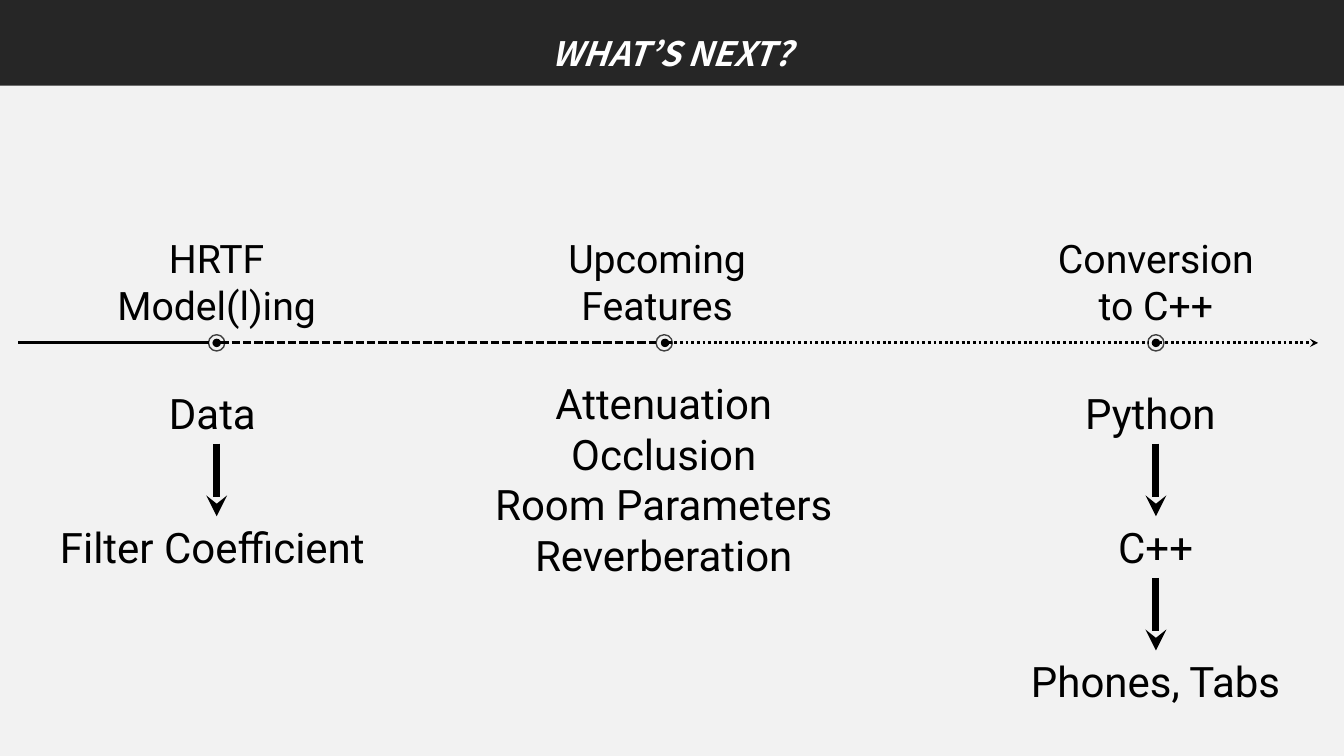
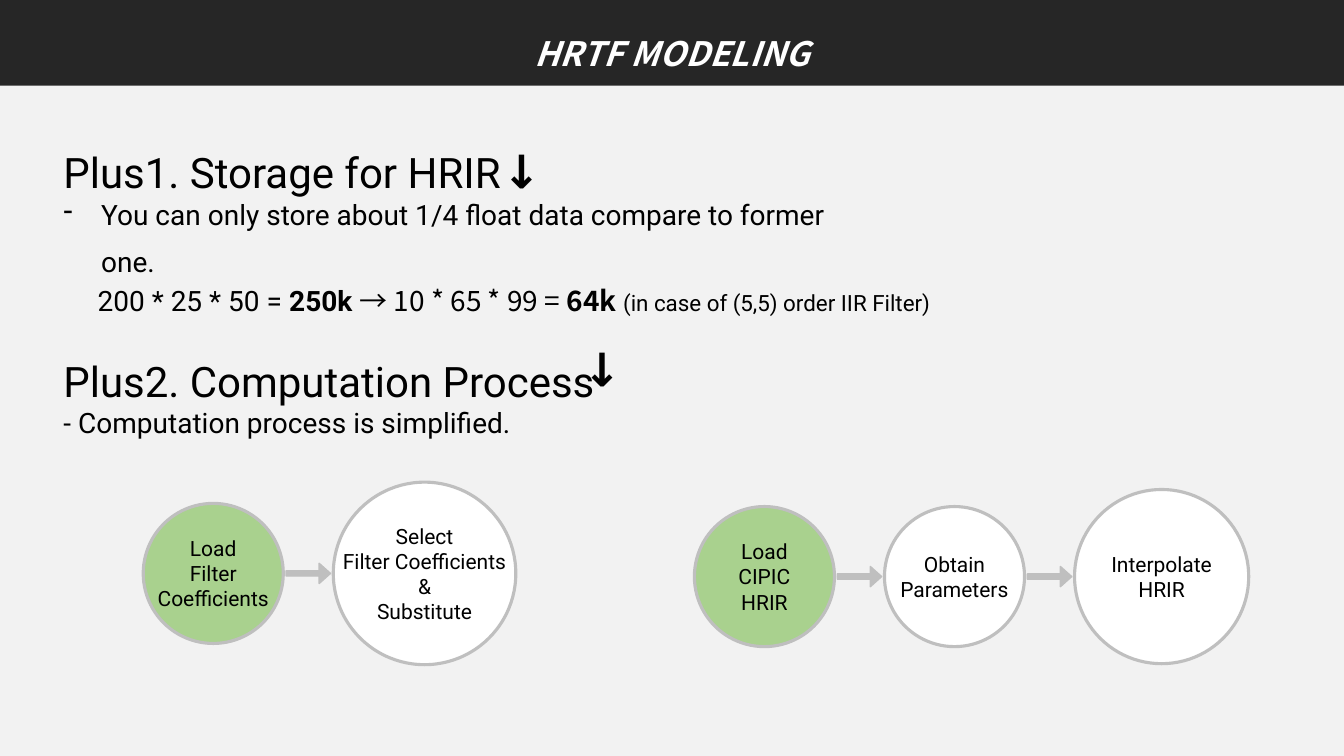
from dataclasses import dataclass
from typing import Optional, Sequence

from lxml.etree import SubElement
from pptx import Presentation
from pptx.dml.color import RGBColor
from pptx.enum.dml import MSO_LINE
from pptx.enum.shapes import MSO_CONNECTOR, MSO_SHAPE
from pptx.enum.text import MSO_ANCHOR, MSO_AUTO_SIZE, PP_ALIGN
from pptx.oxml.ns import qn
from pptx.util import Cm, Pt

BLACK, WHITE, PAPER, BAND = "000000", "FFFFFF", "F2F2F2", "262626"
RING, GREY, GREEN = "404040", "BFBFBF", "A9D18E"
BODY_FONT, TITLE_FONT = "Roboto", "Noto Sans CJK KR"
SLIDE_W, SLIDE_H, BAND_H = 33.87, 19.05, 2.16

AXIS_Y, DOT = 8.64, 0.41
LABEL_W, LABEL_H, LABEL_Y = 5.99, 2.64, 5.78
STEP_Y, STEP_H, STEP_GAP = 9.63, 1.55, 1.83
CHAIN_GAP, ARROW_W, ARROW_H = 1.26, 1.12, 0.51


@dataclass(frozen=True)
class Run:
    text: str
    size: float
    font: str = BODY_FONT
    bold: bool = False


@dataclass(frozen=True)
class Para:
    runs: Sequence[Run]
    spacing: Optional[float] = None
    bullet: str = ""


@dataclass(frozen=True)
class Box:
    x: float
    y: float
    w: float
    h: float

    def lengths(self) -> tuple:
        return Cm(self.x), Cm(self.y), Cm(self.w), Cm(self.h)


@dataclass(frozen=True)
class Milestone:
    label: str
    x: float
    label_x: float


@dataclass(frozen=True)
class Segment:
    start: float
    end: float
    dash: Optional[MSO_LINE] = None
    head: str = ""
    tail: str = ""


@dataclass(frozen=True)
class Flow:
    x: float
    box_x: float
    box_w: float
    steps: Sequence[str]


@dataclass(frozen=True)
class Circle:
    text: str
    size: float
    fill: str = WHITE


@dataclass(frozen=True)
class Chain:
    x: float
    axis_y: float
    circles: Sequence[Circle]


MILESTONES = (
    Milestone("HRTF Model(l)ing", 5.46, 5.46),
    Milestone("Upcoming Features", 16.74, 16.56),
    Milestone("Conversion to C++", 29.13, 29.13),
)
SEGMENTS = (
    Segment(0.46, 5.26),
    Segment(5.46, 16.54, MSO_LINE.SQUARE_DOT, "oval"),
    Segment(16.76, 28.93, MSO_LINE.ROUND_DOT, "oval"),
    Segment(29.13, 33.22, MSO_LINE.ROUND_DOT, "oval", "stealth"),
)
FLOWS = (
    Flow(5.46, 0.66, 9.65, ("Data ", "Filter Coefficient ")),
    Flow(29.13, 25.58, 7.09, ("Python ", "C++", "Phones, Tabs")),
)
FEATURES = ("Attenuation", "Occlusion", "Room Parameters", "Reverberation")
CHAINS = (
    Chain(3.61, 14.45, (
        Circle("Load\nFilter\nCoefficients", 3.53, GREEN),
        Circle("Select\nFilter Coefficients\n&\nSubstitute", 4.6),
    )),
    Chain(17.5, 14.53, (
        Circle("Load\nCIPIC\nHRIR", 3.53, GREEN),
        Circle("Obtain\nParameters", 3.53),
        Circle("Interpolate\nHRIR", 4.39),
    )),
)


def rgb(color: str) -> RGBColor:
    return RGBColor.from_string(color)


def plain(lines: Sequence[str], size: float) -> list[Para]:
    return [Para([Run(line, size)]) for line in lines]


def write(tf, paras: Sequence[Para], align=PP_ALIGN.LEFT) -> None:
    for i, para in enumerate(paras):
        p = tf.paragraphs[0] if i == 0 else tf.add_paragraph()
        p.alignment = align
        if para.spacing:
            p.line_spacing = para.spacing
        if para.bullet:
            pPr = p._p.get_or_add_pPr()
            pPr.set("marL", str(Cm(0.95)))
            pPr.set("indent", str(-Cm(0.95)))
            SubElement(pPr, qn("a:buChar")).set("char", para.bullet)
        for run in para.runs:
            r = p.add_run()
            r.text = run.text
            r.font.name = run.font
            r.font.size = Pt(run.size)
            r.font.bold = run.bold
            r.font.color.rgb = rgb(BLACK)


def add_text(s, box: Box, paras: Sequence[Para], align=PP_ALIGN.LEFT):
    sp = s.shapes.add_textbox(*box.lengths())
    tf = sp.text_frame
    tf.word_wrap = True
    tf.auto_size = MSO_AUTO_SIZE.SHAPE_TO_FIT_TEXT
    write(tf, paras, align)
    return sp


def add_shape(s, kind, box: Box, fill: str, line: str, width: float):
    sp = s.shapes.add_shape(kind, *box.lengths())
    sp.shadow.inherit = False
    sp.fill.solid()
    sp.fill.fore_color.rgb = rgb(fill)
    sp.line.color.rgb = rgb(line)
    sp.line.width = Pt(width)
    return sp


def add_line(s, x1: float, y1: float, x2: float, y2: float, width: float,
             dash: Optional[MSO_LINE] = None, head: str = "", tail: str = "") -> None:
    c = s.shapes.add_connector(MSO_CONNECTOR.STRAIGHT, Cm(x1), Cm(y1), Cm(x2), Cm(y2))
    c.line.color.rgb = rgb(BLACK)
    c.line.width = Pt(width)
    if dash is not None:
        c.line.dash_style = dash
    spPr = c.element.spPr
    ln = spPr.find(qn("a:ln"))
    for tag, end in (("a:headEnd", head), ("a:tailEnd", tail)):
        if end:
            SubElement(ln, qn(tag)).set("type", end)
    SubElement(spPr, qn("a:effectLst"))


def add_slide(prs, title: str):
    s = prs.slides.add_slide(prs.slide_layouts[5])
    sp = s.shapes.title
    sp.left, sp.top, sp.width, sp.height = Box(0, 0, SLIDE_W, BAND_H).lengths()
    sp.fill.solid()
    sp.fill.fore_color.rgb = rgb(BAND)
    tf = sp.text_frame
    tf.text = title
    tf.auto_size = MSO_AUTO_SIZE.NONE
    tf.vertical_anchor = MSO_ANCHOR.MIDDLE
    p = tf.paragraphs[0]
    p.alignment = PP_ALIGN.CENTER
    p.line_spacing = 1.5
    font = p.runs[0].font
    font.name, font.size = TITLE_FONT, Pt(24)
    font.bold = font.italic = True
    font.color.rgb = rgb(WHITE)
    return s


def add_flow(s, flow: Flow) -> None:
    for i, step in enumerate(flow.steps):
        y = STEP_Y + i * (STEP_H + STEP_GAP)
        add_text(s, Box(flow.box_x, y, flow.box_w, STEP_H), plain([step], 30), PP_ALIGN.CENTER)
        if i:
            add_line(s, flow.x, y - STEP_GAP, flow.x, y, 5, tail="stealth")


def add_chain(s, chain: Chain) -> None:
    x = chain.x
    for i, circle in enumerate(chain.circles):
        if i:
            arrow = Box(x - (CHAIN_GAP + ARROW_W) / 2, chain.axis_y - ARROW_H / 2, ARROW_W, ARROW_H)
            sp = add_shape(s, MSO_SHAPE.RIGHT_ARROW, arrow, GREY, GREY, 1)
            sp.adjustments[0], sp.adjustments[1] = 0.26, 0.56
        box = Box(x, chain.axis_y - circle.size / 2, circle.size, circle.size)
        sp = add_shape(s, MSO_SHAPE.OVAL, box, circle.fill, GREY, 2.25)
        tf = sp.text_frame
        tf.word_wrap = False
        tf.vertical_anchor = MSO_ANCHOR.MIDDLE
        tf.margin_left = tf.margin_right = tf.margin_top = tf.margin_bottom = 0
        write(tf, plain(circle.text.split("\n"), 15), PP_ALIGN.CENTER)
        x += circle.size + CHAIN_GAP


def add_down_arrow(s, x: float, y: float) -> None:
    sp = add_text(s, Box(x, y, 1.45, 1.68), [Para([Run("→", 33, bold=True)])])
    sp.rotation = 90


def build_next(prs) -> None:
    s = add_slide(prs, "WHAT’S NEXT?")
    for m in MILESTONES:
        dot = Box(m.x - DOT / 2, AXIS_Y - DOT / 2, DOT, DOT)
        add_shape(s, MSO_SHAPE.OVAL, dot, PAPER, RING, 1)
        label = Box(m.label_x - LABEL_W / 2, LABEL_Y, LABEL_W, LABEL_H)
        add_text(s, label, plain([m.label], 28), PP_ALIGN.CENTER)
    for g in SEGMENTS:
        add_line(s, g.start, AXIS_Y, g.end, AXIS_Y, 2, g.dash, g.head, g.tail)
    for flow in FLOWS:
        add_flow(s, flow)
    add_text(s, Box(12.07, 9.4, 9.32, 5.38), plain(FEATURES, 30), PP_ALIGN.CENTER)


def build_modeling(prs) -> None:
    s = add_slide(prs, "HRTF MODELING")
    add_text(s, Box(1.35, 3.58, 20.73, 2.82), [
        Para([Run("Plus1. Storage for HRIR", 30)]),
        Para([Run("You can only store about 1/4 float data compare to former one.", 20),
              Run(" ", 30)], bullet="-"),
    ])
    add_down_arrow(s, 12.5, 3.48)
    add_text(s, Box(2.21, 6.6, 23.7, 1.37), [Para([
        Run("200 * 25 * 50 = ", 20),
        Run("250k ", 20, bold=True),
        Run("→ 10 * 65 * 99 = ", 20, TITLE_FONT),
        Run("64k ", 20, TITLE_FONT, True),
        Run("(in case of (5,5) order IIR Filter)", 16),
    ], spacing=1.5)])
    add_text(s, Box(1.35, 8.2, 20.73, 3.02), [
        Para([Run("Plus2. Computation Process", 30)], spacing=1.5),
        Para([Run("- Computation process is simplified.", 20)]),
    ])
    add_down_arrow(s, 14.53, 8.46)
    for chain in CHAINS:
        add_chain(s, chain)


def main() -> None:
    prs = Presentation()
    prs.slide_width, prs.slide_height = Cm(SLIDE_W), Cm(SLIDE_H)
    fill = prs.slide_master.background.fill
    fill.solid()
    fill.fore_color.rgb = rgb(PAPER)
    build_next(prs)
    build_modeling(prs)
    prs.save("out.pptx")


if __name__ == "__main__":
    main()
